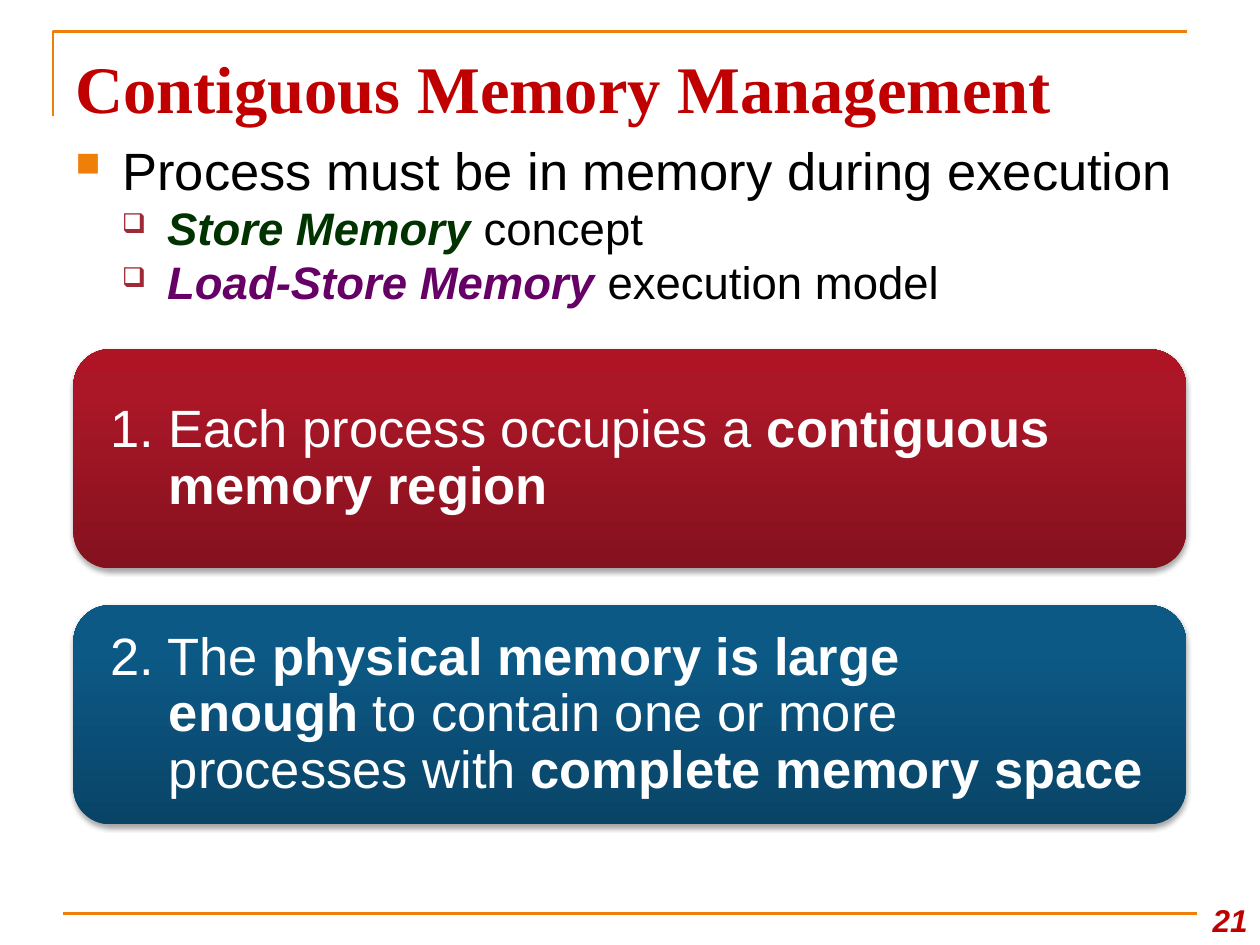
from pptx import Presentation
from pptx.dml.color import RGBColor
from pptx.enum.shapes import MSO_CONNECTOR, MSO_SHAPE
from pptx.enum.text import MSO_ANCHOR, PP_ALIGN
from pptx.oxml import parse_xml
from pptx.oxml.ns import nsdecls
from pptx.util import Cm, Pt

ROUNDED = MSO_SHAPE.ROUNDED_RECTANGLE
STRAIGHT = MSO_CONNECTOR.STRAIGHT
TOP, MIDDLE, BOTTOM = MSO_ANCHOR.TOP, MSO_ANCHOR.MIDDLE, MSO_ANCHOR.BOTTOM
LEFT, RIGHT = PP_ALIGN.LEFT, PP_ALIGN.RIGHT

THEME = {
    "font": "Arial", "title_font": "Times New Roman",
    "accent": "F07F09", "sub_bullet": "9F2936", "heading": "C00000",
    "text": "000000", "store": "003300", "load_store": "660066", "card_text": "FFFFFF",
    "title_size": 38, "main_size": 30, "sub_size": 26, "number_size": 18,
    "rule_width": 1.5,
}

# A run is (text, format); "\n" is a line break.
TITLE = "Contiguous Memory Management"
PAGE_NUMBER = "21"
STRONG = {"bold": True}
MAIN_BULLET = {"character": "■", "color": THEME["accent"], "percent": 65,
               "margin": 0.95, "hanging": 0.95}
SUB_BULLET = {"character": "❑", "color": THEME["sub_bullet"], "percent": 60,
              "margin": 1.85, "hanging": 0.91}
BULLETS = [
    (0, [("Process must be in memory during execution", {})]),
    (1, [("Store Memory ", {"bold": True, "italic": True, "color": THEME["store"]}),
         ("concept", {})]),
    (1, [("Load-Store Memory", {"bold": True, "italic": True, "color": THEME["load_store"]}),
         (" execution model", {})]),
]
CARDS = [
    ([(0, "84111E"), (80, "AB1727"), (100, "AF1425")],
     [("1. Each process occupies a ", {}), ("contiguous\nmemory region", STRONG)]),
    ([(0, "094467"), (80, "0C5986"), (100, "0A5A89")],
     [("2. The ", {}), ("physical memory is large\nenough ", STRONG),
      ("to contain one or more\nprocesses with ", {}),
      ("complete memory space", STRONG)]),
]
CARD_LEFT, CARD_TOP, CARD_WIDTH, CARD_HEIGHT, CARD_STEP = 1.48, 7.04, 22.43, 4.42, 5.16
CARD_INSET, CARD_HANGING = 0.53, 1.18


def add_text(paragraph, text, *, size, color, font=THEME["font"], bold=False, italic=False):
    for index, line in enumerate(text.split("\n")):
        if index:
            paragraph.add_line_break()
        run = paragraph.add_run()
        run.text = line
        run.font.name = font
        run.font.size = Pt(size)
        run.font.bold = bold
        run.font.italic = italic
        run.font.color.rgb = RGBColor.from_string(color)


def add_runs(paragraph, runs, **base):
    for text, changes in runs:
        add_text(paragraph, text, **{**base, **changes})


def add_frame(slide, left, top, width, height, anchor):
    box = slide.shapes.add_textbox(Cm(left), Cm(top), Cm(width), Cm(height))
    box.text_frame.word_wrap = True
    box.text_frame.vertical_anchor = anchor
    return box.text_frame


def set_hanging(paragraph, margin, hanging):
    properties = paragraph._p.get_or_add_pPr()
    properties.set("marL", str(Cm(margin)))
    properties.set("indent", str(-Cm(hanging)))
    return properties


def set_bullet(paragraph, character, color, percent, margin, hanging):
    properties = set_hanging(paragraph, margin, hanging)
    for element in (
        f'<a:buClr {nsdecls("a")}><a:srgbClr val="{color}"/></a:buClr>',
        f'<a:buSzPct {nsdecls("a")} val="{percent * 1000}"/>',
        f'<a:buChar {nsdecls("a")} char="{character}"/>',
    ):
        properties.append(parse_xml(element))


def style_rule(line):
    line.color.rgb = RGBColor.from_string(THEME["accent"])
    line.width = Pt(THEME["rule_width"])


def add_rules(slide):
    builder = slide.shapes.build_freeform(Cm(1.07), Cm(2.34))
    builder.add_line_segments([(Cm(1.07), Cm(0.63)), (Cm(23.93), Cm(0.63))], close=False)
    corner = builder.convert_to_shape()
    corner.shadow.inherit = False
    corner.fill.background()
    style_rule(corner.line)

    footer = slide.shapes.add_connector(STRAIGHT, Cm(1.27), Cm(18.42), Cm(24.13), Cm(18.42))
    style_rule(footer.line)
    footer._element.spPr.append(parse_xml(f'<a:effectLst {nsdecls("a")}/>'))


def add_bullets(slide):
    frame = add_frame(slide, 1.27, 2.74, 22.86, 3.81, TOP)
    frame.margin_top = Cm(0.28)
    for index, (level, runs) in enumerate(BULLETS):
        paragraph = frame.add_paragraph() if index else frame.paragraphs[0]
        paragraph.level = level
        paragraph.line_spacing = 0.8
        paragraph.space_before = Pt(6 if index else 0)
        set_bullet(paragraph, **(SUB_BULLET if level else MAIN_BULLET))
        size = THEME["sub_size"] if level else THEME["main_size"]
        add_runs(paragraph, runs, size=size, color=THEME["text"])


def style_card(card, stops):
    """Give the card a bottom-to-top gradient and a soft shadow below it."""
    card.line.fill.background()
    stop_elements = "".join(
        f'<a:gs pos="{position * 1000}"><a:srgbClr val="{color}"/></a:gs>'
        for position, color in stops)
    properties = card._element.spPr
    properties.insert(2, parse_xml(
        f'<a:gradFill {nsdecls("a")} rotWithShape="1"><a:gsLst>{stop_elements}</a:gsLst>'
        '<a:lin ang="16200000" scaled="0"/></a:gradFill>'))
    properties.append(parse_xml(
        f'<a:effectLst {nsdecls("a")}><a:outerShdw blurRad="{Pt(3.1)}" dist="{Pt(1.8)}" '
        'dir="5400000" rotWithShape="0"><a:srgbClr val="000000"><a:alpha val="35000"/>'
        '</a:srgbClr></a:outerShdw></a:effectLst>'))


def add_card(slide, top, stops, runs):
    card = slide.shapes.add_shape(
        ROUNDED, Cm(CARD_LEFT), Cm(top), Cm(CARD_WIDTH), Cm(CARD_HEIGHT))
    style_card(card, stops)
    frame = card.text_frame
    frame.word_wrap = True
    frame.vertical_anchor = MIDDLE
    frame.margin_left = frame.margin_right = Cm(CARD_INSET)
    paragraph = frame.paragraphs[0]
    paragraph.alignment = LEFT
    paragraph.line_spacing = 0.9
    set_hanging(paragraph, CARD_HANGING, CARD_HANGING)
    add_runs(paragraph, runs, size=THEME["main_size"], color=THEME["card_text"])


def main():
    presentation = Presentation()
    presentation.slide_width, presentation.slide_height = Cm(25.4), Cm(19.05)
    slide = presentation.slides.add_slide(presentation.slide_layouts[6])

    add_rules(slide)
    number = add_frame(slide, 23.93, 17.78, 1.47, 1.27, BOTTOM).paragraphs[0]
    number.alignment = RIGHT
    add_text(number, PAGE_NUMBER, size=THEME["number_size"], color=THEME["heading"],
             bold=True, italic=True)
    title = add_frame(slide, 1.27, 0.76, 22.86, 1.98, MIDDLE).paragraphs[0]
    add_text(title, TITLE, size=THEME["title_size"], color=THEME["heading"],
             font=THEME["title_font"], bold=True)
    add_bullets(slide)
    for index, (stops, runs) in enumerate(CARDS):
        add_card(slide, CARD_TOP + index * CARD_STEP, stops, runs)

    presentation.save("out.pptx")


if __name__ == "__main__":
    main()
